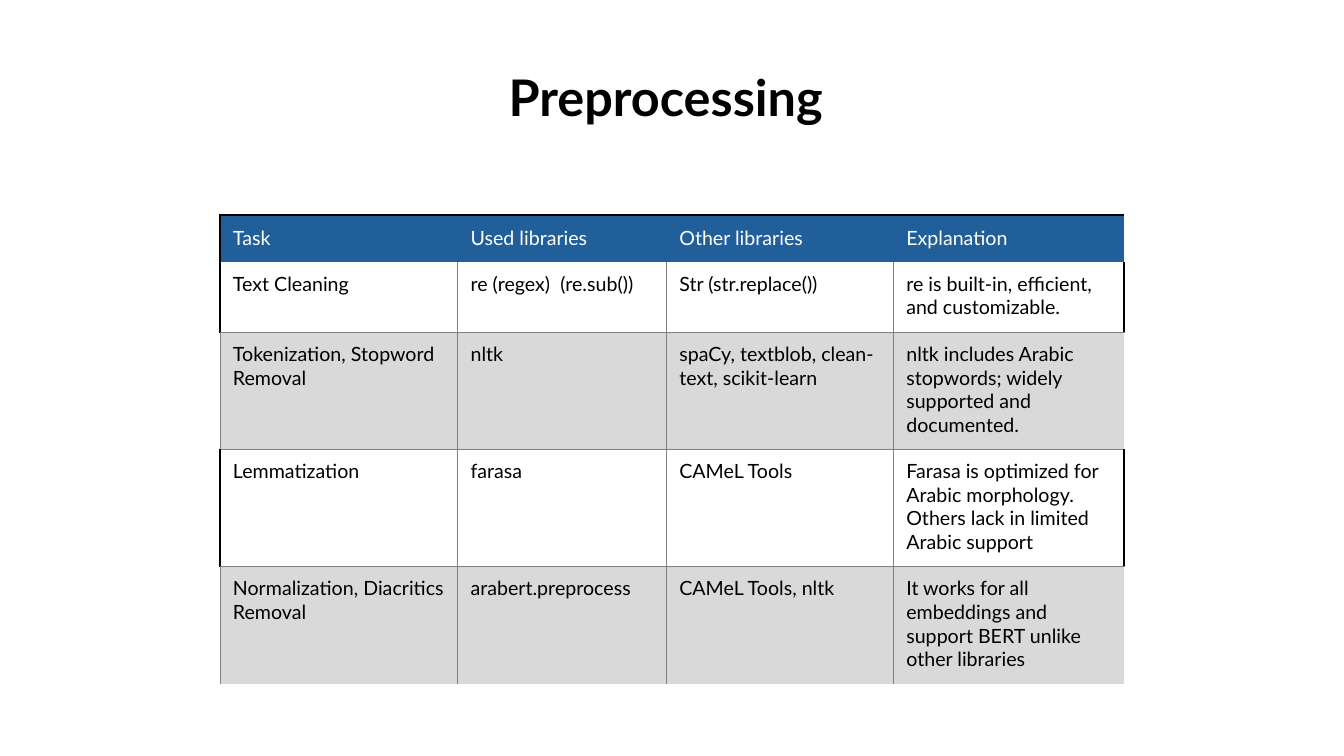
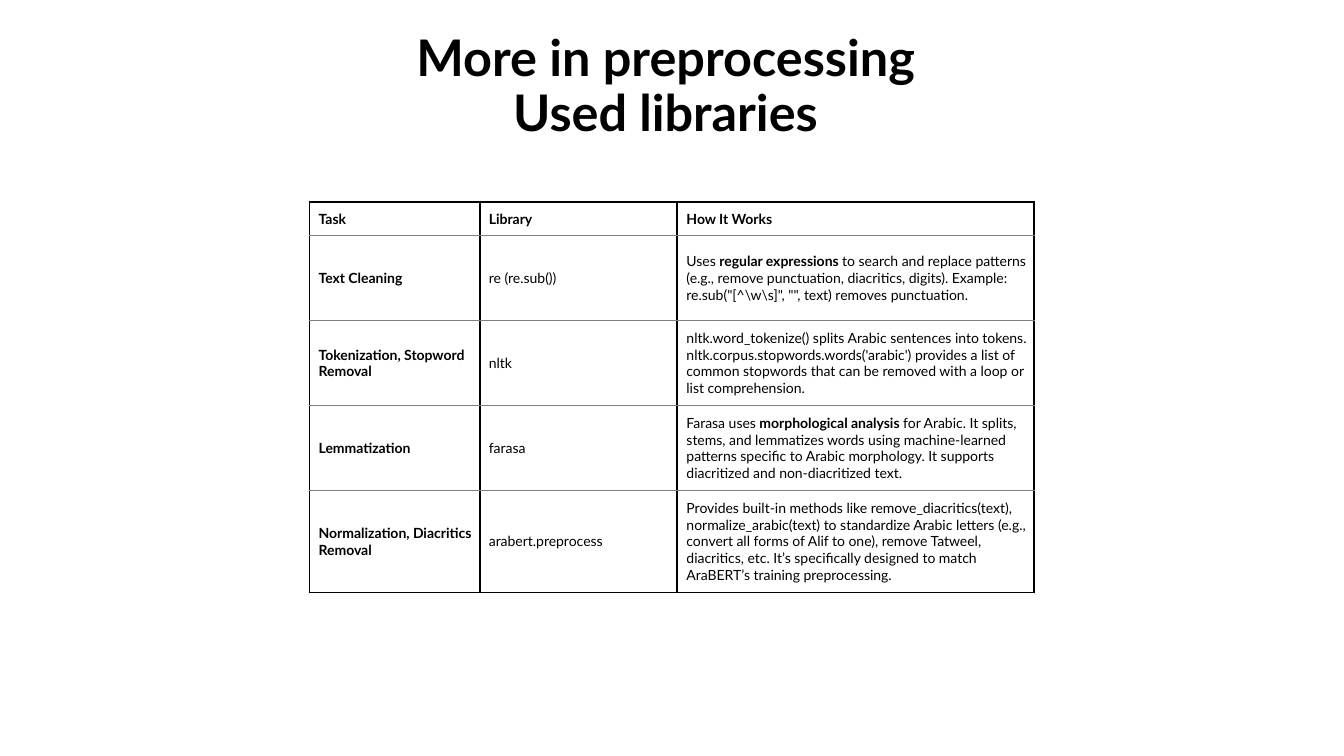
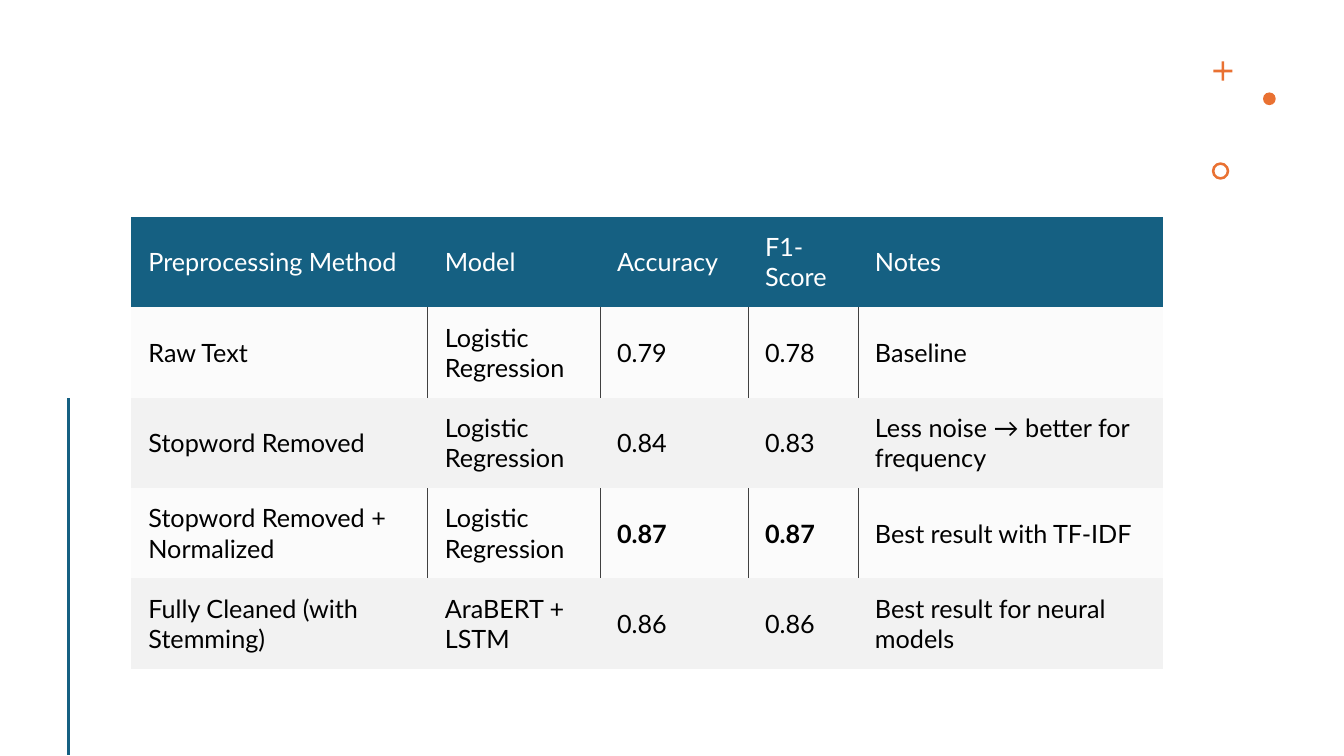
from dataclasses import dataclass
from typing import Callable

import pptx
import pptx.dml.color
import pptx.enum.shapes
import pptx.enum.text
import pptx.oxml.ns
import pptx.util
from lxml import etree

Cm = pptx.util.Cm
Pt = pptx.util.Pt
qn = pptx.oxml.ns.qn
Shape = pptx.enum.shapes.MSO_SHAPE
Anchor = pptx.enum.text.MSO_ANCHOR

FONT = "Lato"
PLAIN_STYLE = "{2D5ABB26-0587-4C30-8999-92F81FD0307C}"
HUES = {
    "black": "000000", "white": "FFFFFF", "gray": "808080", "coal": "404040",
    "blue": "215F9A", "teal": "156082", "orange": "E97132",
    "band": "D9D9D9", "light": "F2F2F2", "pale": "FBFBFB",
}
THICK = ("black", 1.5)
THIN = ("gray", 0.5)
FINE = ("coal", 0.5)

Edges = dict[str, tuple[str, float]]


@dataclass
class Grid:
    left: float
    top: float
    cols: list[float]
    rows: list[float]
    pads: tuple[float, float, float, float]
    size: int
    head: str
    fills: list[str]
    edges: Callable[[int, int], Edges]
    cells: list[list[str]]
    body: Anchor = Anchor.MIDDLE


@dataclass
class Mark:
    kind: Shape
    left: float
    top: float
    size: float
    adjust: float | None = None


def tone(name: str) -> pptx.dml.color.RGBColor:
    return pptx.dml.color.RGBColor.from_string(HUES[name])


def write(frame, text: str, size: int, hue: str) -> None:
    """Write one paragraph a line; **stars** enclose bold words."""
    for row, line in enumerate(text.split("\n")):
        para = frame.add_paragraph() if row else frame.paragraphs[0]
        for turn, part in enumerate(line.split("**")):
            if part:
                run = para.add_run()
                run.text = part
                run.font.name = FONT
                run.font.size = Pt(size)
                run.font.bold = turn % 2 == 1
                run.font.color.rgb = tone(hue)


def add_title(slide, text: str, left: float, top: float, width: float, height: float) -> None:
    title = slide.shapes.title
    title.left, title.top, title.width, title.height = map(Cm, (left, top, width, height))
    frame = title.text_frame
    frame.word_wrap = True
    frame.auto_size = pptx.enum.text.MSO_AUTO_SIZE.NONE
    frame.vertical_anchor = Anchor.BOTTOM
    write(frame, text, 36, "black")
    for para in frame.paragraphs:
        para.alignment = pptx.enum.text.PP_ALIGN.CENTER
        para.line_spacing = 0.9


def rule(cell, edges: Edges) -> None:
    """Draw the cell's borders, in the order the schema asks for."""
    props = cell._tc.get_or_add_tcPr()
    for side in "LRTB":
        if side in edges:
            hue, width = edges[side]
            line = etree.SubElement(props, qn(f"a:ln{side}"), w=str(int(Pt(width))))
            fill = etree.SubElement(line, qn("a:solidFill"))
            etree.SubElement(fill, qn("a:srgbClr"), val=HUES[hue])


def add_grid(slide, grid: Grid) -> None:
    table = slide.shapes.add_table(
        len(grid.rows), len(grid.cols), Cm(grid.left), Cm(grid.top),
        Cm(sum(grid.cols)), Cm(sum(grid.rows))).table
    table.first_row = table.horz_banding = False
    table._tbl.tblPr.find(qn("a:tableStyleId")).text = PLAIN_STYLE
    for col, width in zip(table.columns, grid.cols):
        col.width = Cm(width)
    for row, height in zip(table.rows, grid.rows):
        row.height = Cm(height)
    for r, texts in enumerate(grid.cells):
        for c, text in enumerate(texts):
            cell = table.cell(r, c)
            rule(cell, grid.edges(r, c))
            if grid.fills[r]:
                cell.fill.solid()
                cell.fill.fore_color.rgb = tone(grid.fills[r])
            else:
                cell.fill.background()
            (cell.margin_left, cell.margin_top,
             cell.margin_right, cell.margin_bottom) = map(Cm, grid.pads)
            cell.vertical_anchor = grid.body if r else Anchor.MIDDLE
            write(cell.text_frame, text, grid.size, "black" if r else grid.head)


def add_marks(slide, marks: list[Mark]) -> None:
    group = slide.shapes.add_group_shape()
    for mark in marks:
        shape = group.shapes.add_shape(
            mark.kind, Cm(mark.left), Cm(mark.top), Cm(mark.size), Cm(mark.size))
        shape.shadow.inherit = False
        shape.fill.solid()
        shape.fill.fore_color.rgb = tone("orange")
        shape.line.fill.background()
        if mark.adjust is not None:
            shape.adjustments[0] = mark.adjust


def add_line(slide, x: float, top: float, end: float) -> None:
    line = slide.shapes.add_connector(
        pptx.enum.shapes.MSO_CONNECTOR.STRAIGHT, Cm(x), Cm(top), Cm(x), Cm(end))
    line.line.color.rgb = tone("teal")
    line.line.width = Pt(2)
    etree.SubElement(line._element.spPr, qn("a:effectLst"))


def task_edges(row: int, col: int) -> Edges:
    first, last = col == 0, col == 3
    if row == 0:
        return {"T": THICK, "L": THICK} if first else {"T": THICK}
    if row % 2:
        return {"L": THICK if first else THIN, "R": THICK if last else THIN, "B": THIN}
    return {"L": THIN, "T": THIN} if last else {"L": THIN, "T": THIN, "R": THIN}


def work_edges(row: int, col: int) -> Edges:
    return {"L": THICK, "R": THICK, "T": THIN if row else THICK,
            "B": THICK if row == 4 else THIN}


def score_edges(row: int, col: int) -> Edges:
    if row % 2 == 0:
        return {}
    return ({"L": FINE} if col > 0 else {}) | ({"R": FINE} if col < 4 else {})


TASKS = Grid(
    5.54, 5.41, [5.99, 5.26, 5.72, 5.82], [1.19, 1.78] + [2.95] * 3,
    (0.33, 0.25, 0.25, 0.25), 14, "white", ["blue", "", "band", "", "band"], task_edges,
    [
        ["Task", "Used libraries", "Other libraries", "Explanation"],
        ["Text Cleaning", "re (regex)  (re.sub())", "Str (str.replace())",
         "re is built-in, efficient, and customizable."],
        ["Tokenization, Stopword Removal", "nltk",
         "spaCy, textblob, clean-text, scikit-learn",
         "nltk includes Arabic stopwords; widely supported and documented."],
        ["Lemmatization", "farasa", "CAMeL Tools",
         "Farasa is optimized for Arabic morphology.\n"
         "Others lack in limited Arabic support"],
        ["Normalization, Diacritics Removal", "arabert.preprocess", "CAMeL Tools, nltk",
         "It works for all embeddings and support BERT unlike other libraries"],
    ],
    Anchor.TOP)

WORKS = Grid(
    7.8, 5.08, [4.29, 4.98, 8.99], [0.86] + [2.14] * 3 + [2.57],
    (0.23, 0.18, 0.1, 0.18), 10, "black", [""] * 5, work_edges,
    [
        ["**Task**", "**Library**", "**How It Works**"],
        ["**Text Cleaning**", "re (re.sub())",
         "Uses **regular expressions** to search and replace patterns (e.g., remove "
         "punctuation, diacritics, digits). Example: "
         r're.sub("[^\w\s]", "", text) removes punctuation.'],
        ["**Tokenization, Stopword Removal**", "nltk",
         "nltk.word_tokenize() splits Arabic sentences into tokens. "
         "nltk.corpus.stopwords.words('arabic') provides a list of common stopwords "
         "that can be removed with a loop or list comprehension."],
        ["**Lemmatization**", "farasa",
         "Farasa uses **morphological analysis** for Arabic. It splits, stems, and "
         "lemmatizes words using machine-learned patterns specific to Arabic morphology. "
         "It supports diacritized and non-diacritized text."],
        ["**Normalization, Diacritics Removal**", "arabert.preprocess",
         "Provides built-in methods like remove_diacritics(text), normalize_arabic(text) "
         "to standardize Arabic letters (e.g., convert all forms of Alif to one), remove "
         "Tatweel, diacritics, etc. It’s specifically designed to match AraBERT’s "
         "training preprocessing."],
    ])

SCORES = Grid(
    3.31, 5.46, [7.47, 4.34, 3.73, 2.77, 7.7], [2.28] * 5,
    (0.43, 0.33, 0.33, 0.33), 18, "white",
    ["teal", "pale", "light", "pale", "light"], score_edges,
    [
        ["Preprocessing Method", "Model", "Accuracy", "F1-Score", "Notes"],
        ["Raw Text", "Logistic Regression", "0.79", "0.78", "Baseline"],
        ["Stopword Removed", "Logistic Regression", "0.84", "0.83",
         "Less noise → better for frequency"],
        ["Stopword Removed + Normalized", "Logistic Regression", "**0.87**", "**0.87**",
         "Best result with TF-IDF"],
        ["Fully Cleaned (with Stemming)", "AraBERT + LSTM", "0.86", "0.86",
         "Best result for neural models"],
    ])

MARKS = [
    Mark(Shape.CROSS, 30.58, 1.55, 0.48, 0.43),
    Mark(Shape.OVAL, 31.83, 2.33, 0.32),
    Mark(Shape.DONUT, 30.54, 4.09, 0.44, 0.15),
]


def main() -> None:
    deck = pptx.Presentation()
    deck.slide_width, deck.slide_height = Cm(33.87), Cm(19.05)
    titled, blank = deck.slide_layouts[5], deck.slide_layouts[6]

    slide = deck.slides.add_slide(titled)
    add_title(slide, "**Preprocessing **", 4.8, 1.45, 24.26, 1.9)
    add_grid(slide, TASKS)

    slide = deck.slides.add_slide(titled)
    add_title(slide, "**More in preprocessing **\n**Used libraries **", 7.8, 0.99, 18.26, 2.72)
    add_grid(slide, WORKS)

    slide = deck.slides.add_slide(blank)
    add_marks(slide, MARKS)
    add_line(slide, 1.73, 10.03, 19.03)
    add_grid(slide, SCORES)

    deck.save("out.pptx")


if __name__ == "__main__":
    main()
